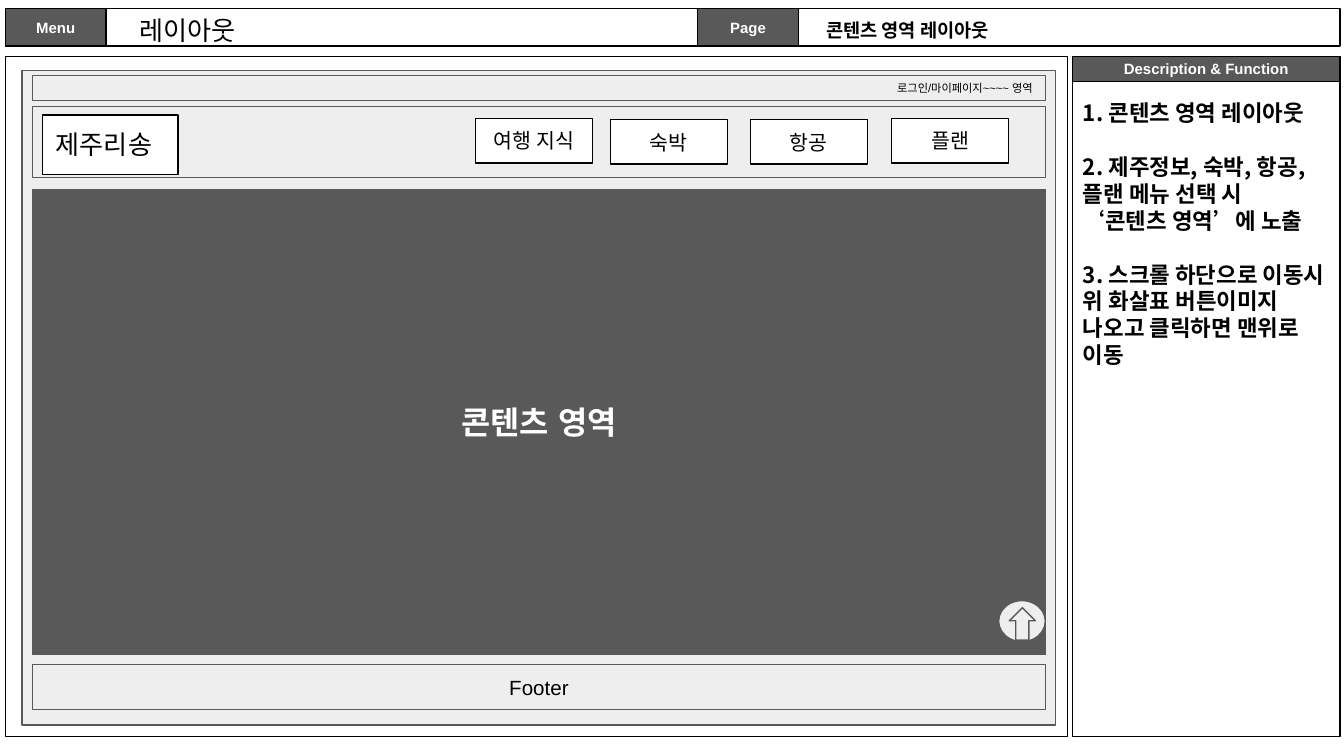
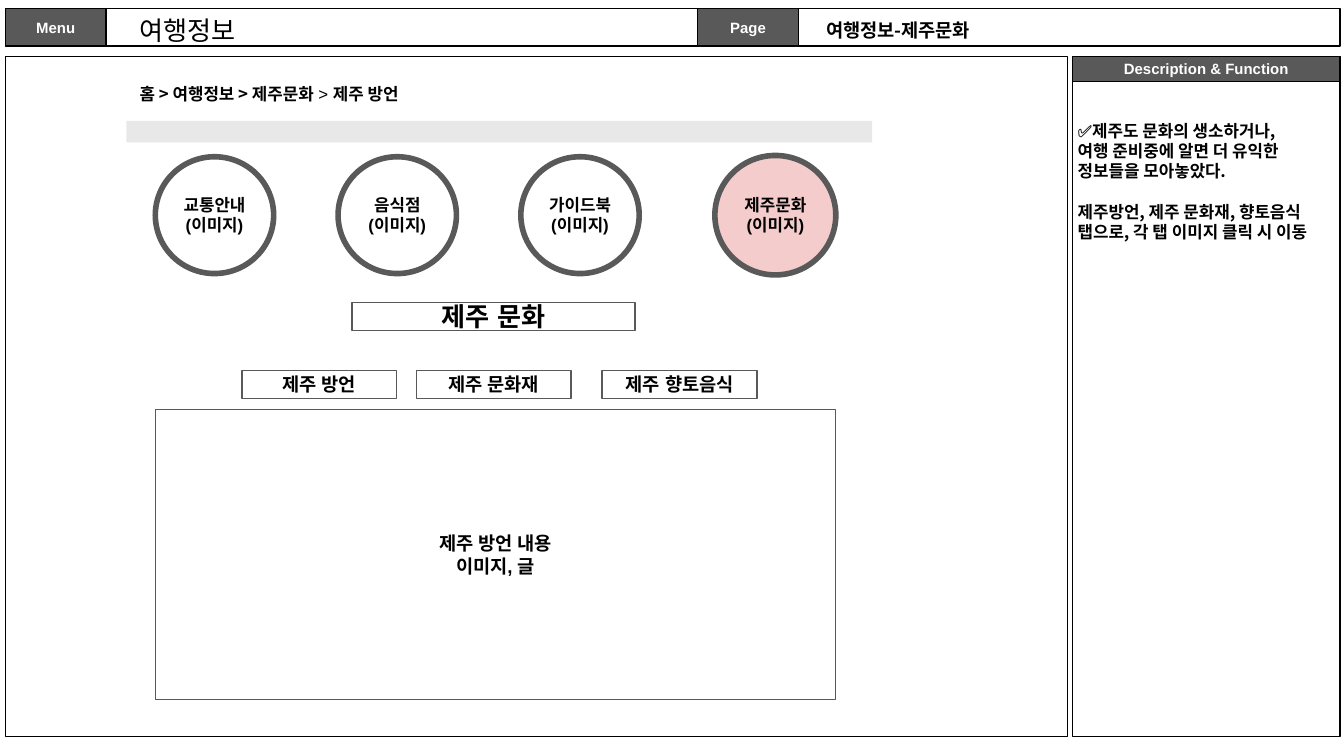
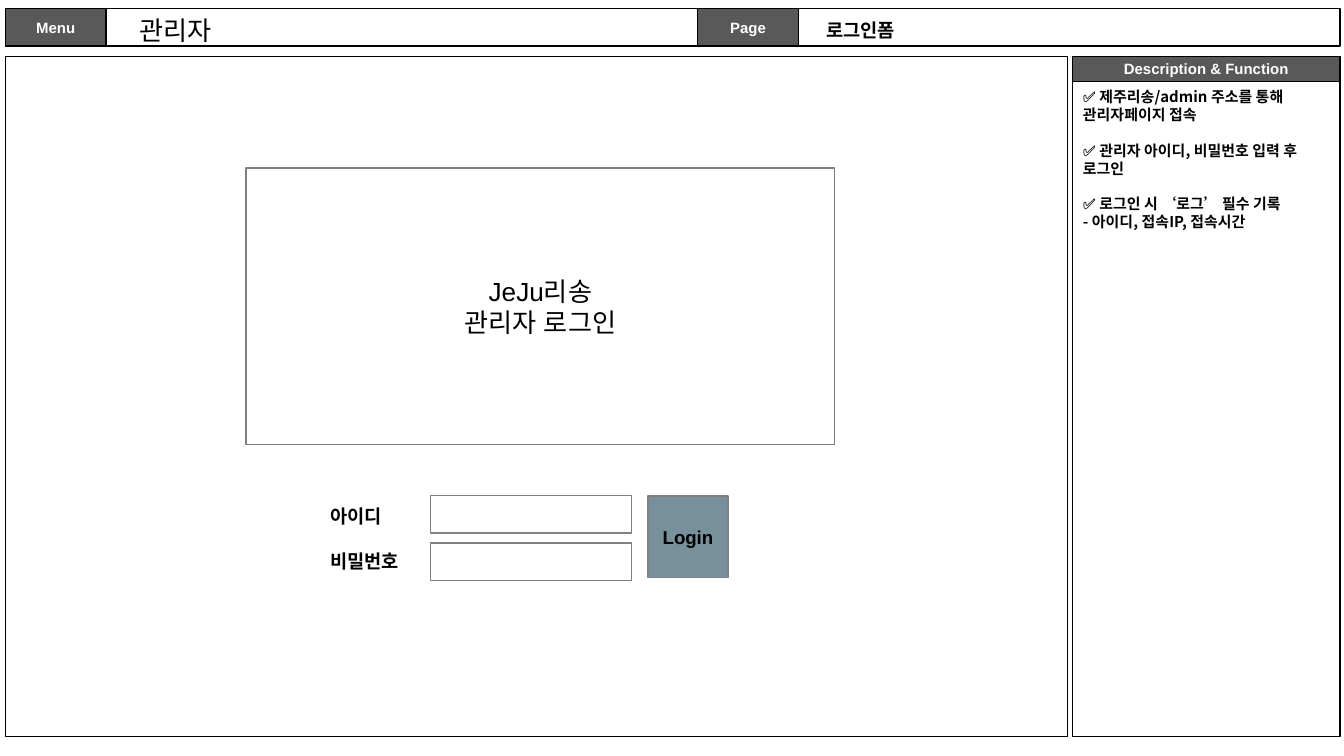
from pptx import Presentation
from pptx.dml.color import RGBColor
from pptx.enum.shapes import MSO_SHAPE as Shape
from pptx.enum.text import MSO_ANCHOR as Anchor, PP_ALIGN as Align
from pptx.oxml.ns import qn
from pptx.util import Pt

BLACK = RGBColor(0x00, 0x00, 0x00)
WHITE = RGBColor(0xFF, 0xFF, 0xFF)
DARK = RGBColor(0x59, 0x59, 0x59)
GRAY = RGBColor(0x80, 0x80, 0x80)
PALE = RGBColor(0xEE, 0xEE, 0xEE)
BAR = RGBColor(0xE8, 0xE8, 0xE8)
PINK = RGBColor(0xF4, 0xCC, 0xCC)
STEEL = RGBColor(0x78, 0x90, 0x9C)
LATIN = "Arial"
KOREAN = "Noto Sans CJK KR"
LEADING = 1.2


def add_span(para, text, size=10, bold=False, color=BLACK, font=LATIN):
    """Append a formatted run to a paragraph."""
    span = para.add_run()
    span.text = text
    span.font.size = Pt(size)
    span.font.bold = bold
    span.font.color.rgb = color
    span.font.name = font
    east = span.font._element.makeelement(qn("a:ea"), {"typeface": font})
    span.font._element.find(qn("a:latin")).addnext(east)


def write(frame, text, align=Align.LEFT, anchor=Anchor.TOP, inset=(7.2, 7.2), size=10, **style):
    """Fill a frame; a line break starts a paragraph, a double one adds a gap."""
    frame.word_wrap = True
    frame.vertical_anchor = anchor
    frame.margin_left = frame.margin_right = Pt(inset[0])
    frame.margin_top = frame.margin_bottom = Pt(inset[1])
    para = None
    for block in text.split("\n\n"):
        for number, line in enumerate(block.split("\n")):
            gap = para is not None and number == 0
            para = frame.paragraphs[0] if para is None else frame.add_paragraph()
            para.alignment = align
            para.line_spacing = Pt(size * LEADING)
            if gap:
                para.space_before = Pt(size * LEADING)
            add_span(para, line, size=size, **style)
    return para


class Wireframe:
    """Storyboard deck with a shared frame on each page."""

    def __init__(self):
        """Open an empty widescreen deck."""
        self.deck = Presentation()
        self.deck.slide_width, self.deck.slide_height = Pt(720), Pt(405)
        self.page = None

    def start_page(self, menu, title):
        """Add a page with header, body frame and description panel."""
        self.page = self.deck.slides.add_slide(self.deck.slide_layouts[6])
        self.shape(2.9, 30.2, 569, 364.3, line=BLACK)
        self.shape(574.6, 30.2, 143.3, 364.3, line=BLACK)
        self.shape(2.9, 4.5, 715, 20.2, line=BLACK)
        for left, top, width, height, text in (
            (574.6, 30.2, 143.3, 13.5, "Description & Function"),
            (2.9, 4.5, 54, 20.2, "Menu"),
            (373.7, 4.5, 54, 20.2, "Page"),
        ):
            self.shape(left, top, width, height, text, fill=DARK, line=BLACK,
                       size=8, bold=True, color=WHITE)
        self.text(435.6, 6.5, 260, 19.4, title, inset=(7.2, 3.6), bold=True, font=KOREAN)
        self.text(67.7, 0.7, 292.3, 31.7, menu, size=14)

    def shape(self, left, top, width, height, text="", kind=Shape.RECTANGLE,
              fill=WHITE, line=DARK, weight=0.75, **style):
        """Draw a filled shape, with centred text by default."""
        box = self.page.shapes.add_shape(kind, Pt(left), Pt(top), Pt(width), Pt(height))
        box.shadow.inherit = False
        box.fill.solid()
        box.fill.fore_color.rgb = fill
        if line is None:
            box.line.fill.background()
        else:
            box.line.color.rgb = line
            box.line.width = Pt(weight)
        if text:
            write(box.text_frame, text, **{"align": Align.CENTER, "anchor": Anchor.MIDDLE, **style})

    def text(self, left, top, width, height, text, **style):
        """Place a text box and return its last paragraph."""
        box = self.page.shapes.add_textbox(Pt(left), Pt(top), Pt(width), Pt(height))
        return write(box.text_frame, text, **style)

    def describe(self, left, top, width, height, text, size):
        """Write the notes of the description panel."""
        self.text(left, top, width, height, text, size=size, bold=True, font=KOREAN)


def add_layout_page(frame):
    """Build the content area layout."""
    frame.start_page("레이아웃", "콘텐츠 영역 레이아웃")
    frame.describe(573.1, 46.1, 146.9, 160, "1. 콘텐츠 영역 레이아웃\n\n"
                   "2. 제주정보, 숙박, 항공, 플랜 메뉴 선택 시 ‘콘텐츠 영역’에 노출\n\n"
                   "3. 스크롤 하단으로 이동시 위 화살표 버튼이미지 나오고 클릭하면 맨위로 이동", 12)
    left, width = 17.3, 543
    frame.shape(11.8, 37.8, 553.7, 350.6, fill=PALE)
    frame.shape(left, 101.5, width, 249.2, "콘텐츠 영역", fill=DARK, size=17, bold=True, color=WHITE)
    frame.shape(left, 40.3, width, 13.7, "로그인/마이페이지~~~~ 영역", fill=PALE,
                size=6, align=Align.RIGHT)
    frame.shape(left, 57, width, 38.2, fill=PALE)
    frame.shape(22.7, 61.7, 72.6, 31.7, "제주리송", line=BLACK, size=14,
                align=Align.LEFT, anchor=Anchor.TOP)
    for x, y, name in ((254.7, 63.5, "여행 지식"), (327, 64.2, "숙박"),
                       (402, 64.2, "항공"), (477.6, 63.5, "플랜")):
        frame.shape(x, y, 62.8, 23.8, name, line=BLACK, size=11)
    frame.shape(535, 321.8, 25, 22, kind=Shape.OVAL, fill=PALE)
    frame.shape(540.7, 325.6, 14, 17.4, kind=Shape.UP_ARROW, fill=PALE)
    frame.shape(left, 356, width, 24, "Footer", fill=PALE, size=11)


def add_culture_page(frame):
    """Build the travel information page."""
    frame.start_page("여행정보", "여행정보-제주문화")
    frame.describe(570.2, 57.6, 144.7, 156.2,
                   "✅제주도 문화의 생소하거나,\n여행 준비중에 알면 더 유익한\n정보들을 모아놓았다.\n\n"
                   "제주방언, 제주 문화재, 향토음식\n탭으로, 각 탭 이미지 클릭 시 이동", 9)
    crumbs = frame.text(67.7, 38.9, 219.6, 22.3, "홈 > 여행정보 > 제주문화",
                        anchor=Anchor.MIDDLE, size=9, bold=True, font=KOREAN)
    add_span(crumbs, " > ", size=9)
    add_span(crumbs, "제주 방언", size=9, bold=True, font=KOREAN)
    frame.shape(67.7, 64.8, 399.6, 11.5, fill=BAR, line=None)
    circle = {"kind": Shape.OVAL, "weight": 3, "inset": (2.9, 7.2), "size": 9, "bold": True}
    for index, name in enumerate(("교통안내", "음식점", "가이드북")):
        frame.shape(83.2 + index * 97.9, 84, 63.4, 62.6, f"{name}\n(이미지)", **circle)
    frame.shape(383, 83.3, 64.8, 64, "제주문화\n(이미지)", fill=PINK, **circle)
    frame.shape(188.6, 162, 151.6, 15.1, "제주 문화", size=14, bold=True)
    for left, name in ((129.6, "제주 방언"), (223, "제주 문화재"), (322.6, "제주 향토음식")):
        frame.shape(left, 198.4, 83, 15.1, name, bold=True)
    frame.shape(83.3, 219.4, 364.3, 155.4, "제주 방언 내용\n이미지, 글", bold=True)


def add_login_page(frame):
    """Build the administrator login form."""
    frame.start_page("관리자", "로그인폼")
    for top in (265.5, 291):
        frame.shape(230.8, top, 107.5, 20, line=GRAY)
    frame.shape(347.2, 265.7, 42.8, 43.7, "Login", fill=STEEL, line=GRAY, bold=True)
    frame.text(169.9, 263.5, 57.6, 51.1, "아이디\n\n비밀번호", bold=True)
    frame.describe(573.1, 39.6, 144, 355.7, "✅ 제주리송/admin 주소를 통해 관리자페이지 접속\n\n"
                   "✅ 관리자 아이디, 비밀번호 입력 후 로그인\n\n"
                   "✅ 로그인 시 ‘로그’ 필수 기록\n- 아이디, 접속IP, 접속시간", 8)
    frame.shape(131.8, 90, 315.4, 148.3, "JeJu리송\n관리자 로그인", line=GRAY, size=14)


def main():
    """Build and save the deck."""
    frame = Wireframe()
    add_layout_page(frame)
    add_culture_page(frame)
    add_login_page(frame)
    frame.deck.save("out.pptx")


if __name__ == "__main__":
    main()
